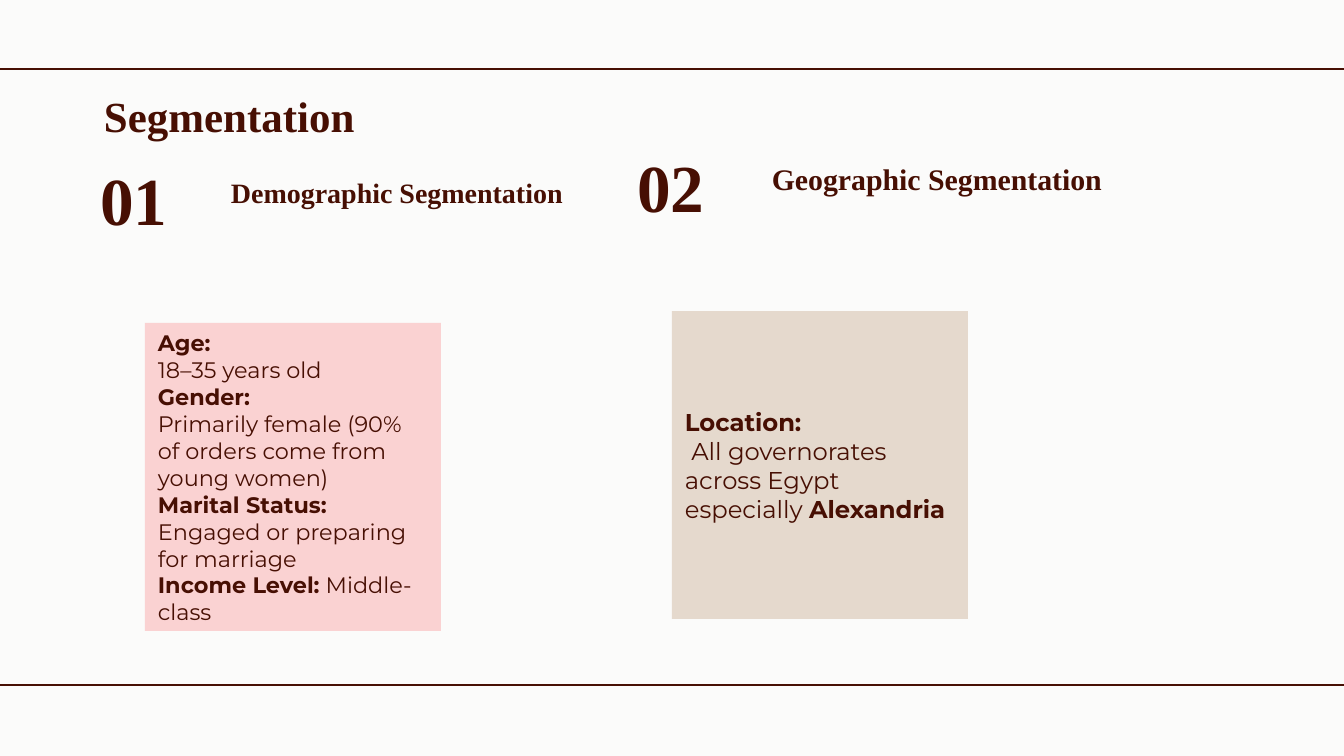
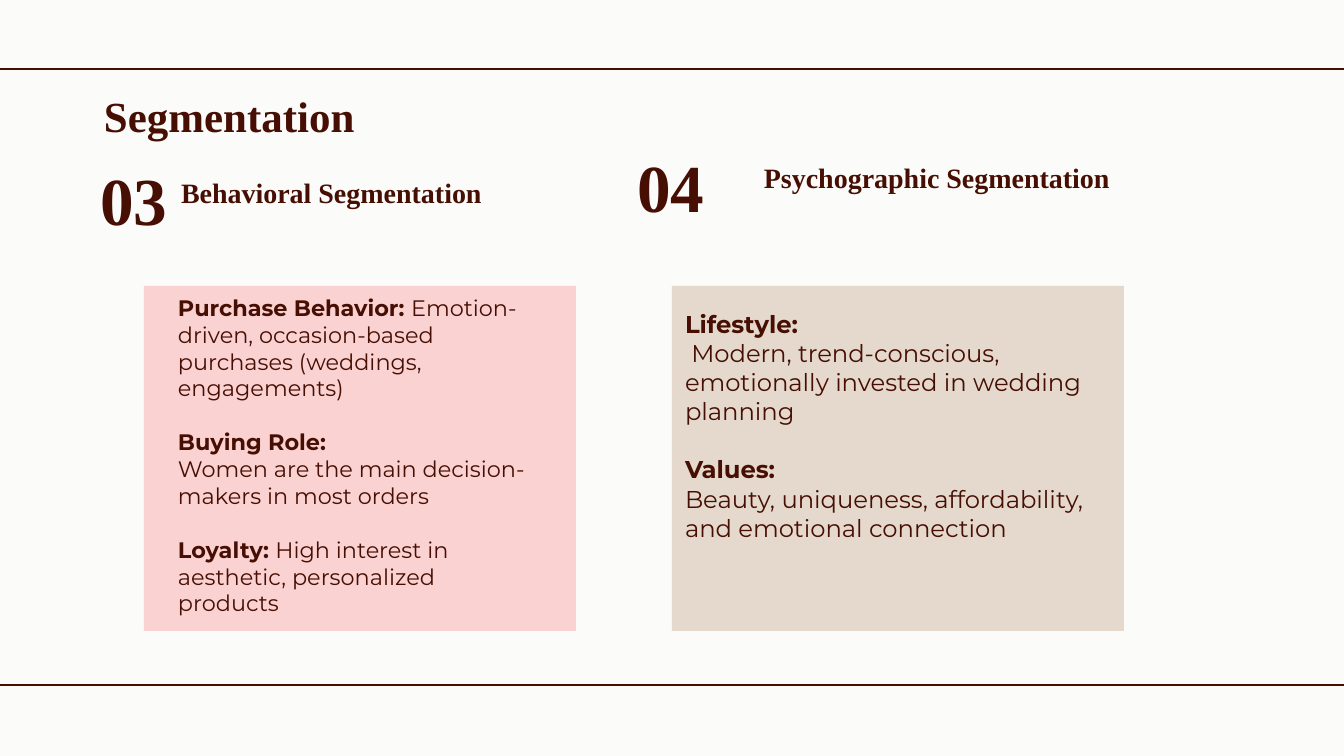
from pptx import Presentation
from pptx import util as u
from pptx.dml.color import RGBColor
from pptx.enum import shapes, text

PX = 914400 / 134.4
INSET = 13
MAROON = RGBColor(0x47, 0x0F, 0x03)
PINK = RGBColor(0xFA, 0xD2, 0xD2)
BEIGE = RGBColor(0xE5, 0xD9, 0xCD)
PAPER = RGBColor(0xFB, 0xFB, 0xFA)
SERIF, SANS = "Times New Roman", "Montserrat"
LEFT, CENTER = text.PP_ALIGN.LEFT, text.PP_ALIGN.CENTER
TOP, MIDDLE, BOTTOM = (text.MSO_ANCHOR.TOP, text.MSO_ANCHOR.MIDDLE,
                       text.MSO_ANCHOR.BOTTOM)
LINE_HEIGHT = 1.2


def px(value):
    return u.Emu(round(value * PX))


def add_rect(page, box, fill=None, line=None):
    rect = page.shapes.add_shape(shapes.MSO_SHAPE.RECTANGLE, *map(px, box))
    rect.shadow.inherit = False
    if fill is None:
        rect.fill.background()
    else:
        rect.fill.solid()
        rect.fill.fore_color.rgb = fill
    if line is None:
        rect.line.fill.background()
    else:
        rect.line.color.rgb = line
        rect.line.width = u.Pt(0.75)


def add_frame(page, box, anchor, top=INSET, bottom=INSET):
    frame = page.shapes.add_textbox(*map(px, box)).text_frame
    frame.word_wrap = True
    frame.vertical_anchor = anchor
    frame.margin_left = frame.margin_right = px(INSET)
    frame.margin_top, frame.margin_bottom = px(top), px(bottom)
    return frame


def style(font, name, size, bold):
    font.name, font.size, font.bold = name, u.Pt(size), bold
    font.color.rgb = MAROON


def add_heading(page, box, words, size, align=LEFT, anchor=TOP):
    frame = add_frame(page, box, anchor)
    frame.text = words
    para = frame.paragraphs[0]
    para.alignment = align
    style(para.runs[0].font, SERIF, size, True)


def add_body(page, box, groups, size, anchor, top=INSET, bottom=INSET):
    """Groups are set one line apart; each paragraph lists (words, bold)."""
    frame = add_frame(page, box, anchor, top, bottom)
    para = None
    for group in groups:
        for index, spans in enumerate(group):
            first = para is None
            para = frame.paragraphs[0] if first else frame.add_paragraph()
            if index == 0 and not first:
                para.space_before = u.Pt(size * LINE_HEIGHT)
            for words, bold in spans:
                span = para.add_run()
                span.text = words
                style(span.font, SANS, size, bold)


def add_segment(page, origin, number, heading, panel, body):
    """Number, heading, coloured panel and its text, from the number's corner."""
    left, top = origin

    def place(box):
        return (left + box[0], top + box[1], *box[2:])

    add_rect(page, place(panel["box"]), fill=panel["fill"])
    add_heading(page, place((0, 0, 216, 91)), number, 36, CENTER, BOTTOM)
    add_heading(page, place(heading.pop("box")), **heading)
    add_body(page, place(body.pop("box")), **body)


def add_page(deck, segments):
    page = deck.slides.add_slide(deck.slide_layouts[6])
    add_rect(page, (-24, 69, 1391, 616), line=MAROON)
    add_heading(page, (91, 77, 1193, 85), "Segmentation", 23)
    for origin, segment in zip(((26, 161), (563, 148)), segments):
        add_segment(page, origin, **segment)


def main():
    deck = Presentation()
    deck.slide_width, deck.slide_height = px(1344), px(756)
    backdrop = deck.slide_master.background.fill
    backdrop.solid()
    backdrop.fore_color.rgb = PAPER

    # Demographic and geographic segments
    add_page(deck, [
        dict(number="01",
             heading=dict(box=(119, -4, 504, 71), size=15, align=CENTER,
                          anchor=MIDDLE, words="Demographic Segmentation"),
             panel=dict(box=(119, 162, 296, 308), fill=PINK),
             body=dict(box=(119, 182, 296, 327), size=12, anchor=MIDDLE,
                       bottom=71, groups=[[
                           [("Age:", True)],
                           [("18–35 years old", False)],
                           [("Gender:", True)],
                           [("Primarily female (90% of orders come from "
                             "young women)", False)],
                           [("Marital Status:", True),
                            (" Engaged or preparing for marriage", False)],
                           [("Income Level:", True),
                            (" Middle-class", False)]]])),
        dict(number="02",
             heading=dict(box=(109, 0, 530, 63), size=16, align=CENTER,
                          words="Geographic Segmentation"),
             panel=dict(box=(109, 163, 296, 308), fill=BEIGE),
             body=dict(box=(109, 163, 296, 308), size=13, anchor=MIDDLE,
                       groups=[[
                           [("Location:", True)],
                           [(" All governorates across Egypt especially ",
                             False), ("Alexandria", True)]]])),
    ])

    # Behavioral and psychographic segments
    add_page(deck, [
        dict(number="03",
             heading=dict(box=(142, -4, 504, 71), size=15, anchor=MIDDLE,
                          words="Behavioral Segmentation"),
             panel=dict(box=(118, 125, 432, 345), fill=PINK),
             body=dict(box=(139, 125, 390, 327), size=12, anchor=TOP, top=8,
                       bottom=0, groups=[
                           [[("Purchase Behavior: ", True),
                             ("Emotion-driven, occasion-based purchases "
                              "(weddings, engagements)", False)]],
                           [[("Buying Role:", True)],
                            [("Women are the main decision-makers in most "
                              "orders", False)]],
                           [[("Loyalty: ", True),
                             ("High interest in aesthetic, personalized "
                              "products", False)]]])),
        dict(number="04",
             heading=dict(box=(109, 0, 530, 60), size=15, align=CENTER,
                          words="Psychographic Segmentation"),
             panel=dict(box=(109, 138, 452, 345), fill=BEIGE),
             body=dict(box=(109, 148, 440, 327), size=13, anchor=TOP, groups=[
                 [[("Lifestyle:", True)],
                  [(" Modern, trend-conscious, emotionally invested in "
                    "wedding planning", False)]],
                 [[("Values:", True)],
                  [("Beauty, uniqueness, affordability, and emotional "
                    "connection", False)]]])),
    ])
    deck.save("out.pptx")


if __name__ == "__main__":
    main()
